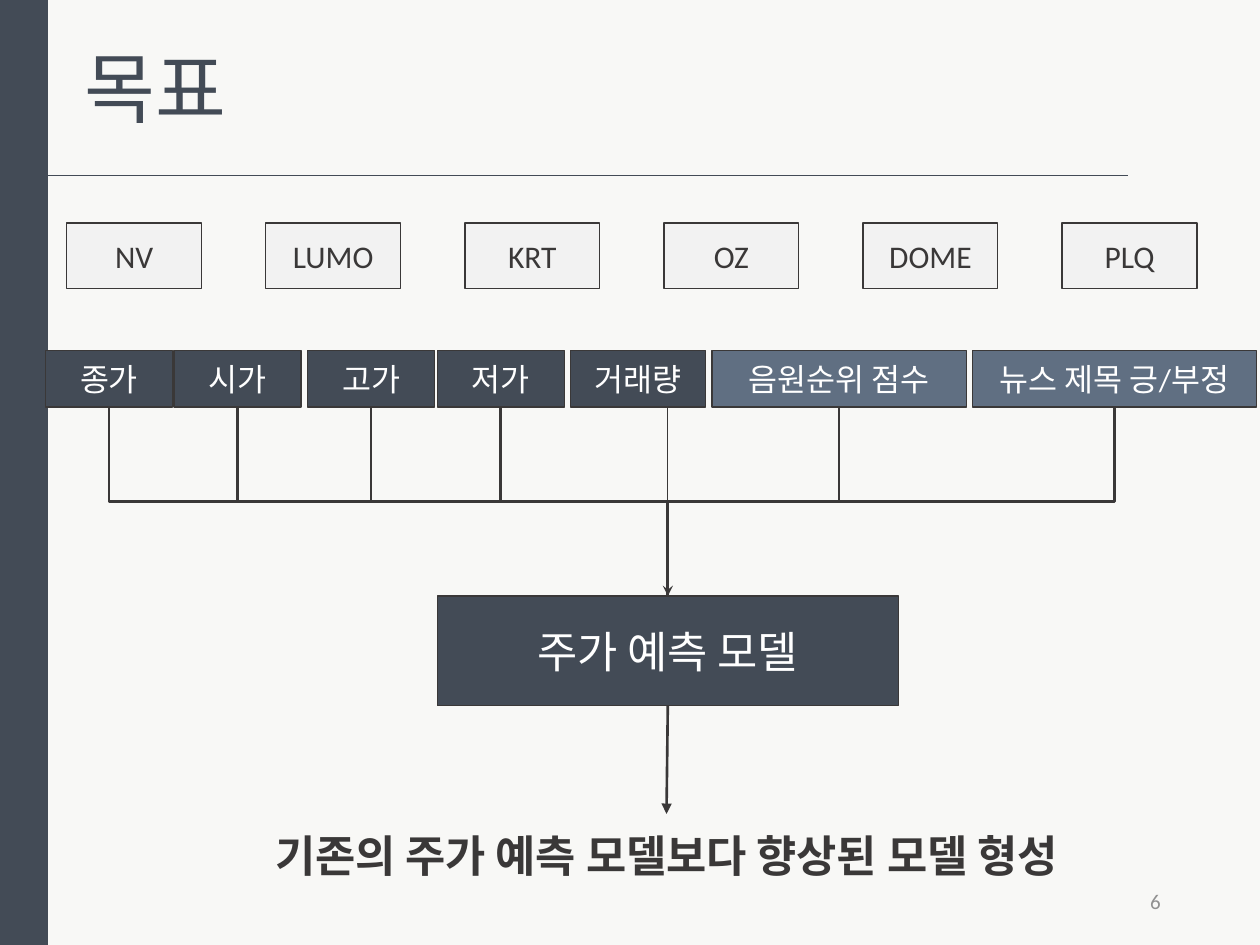
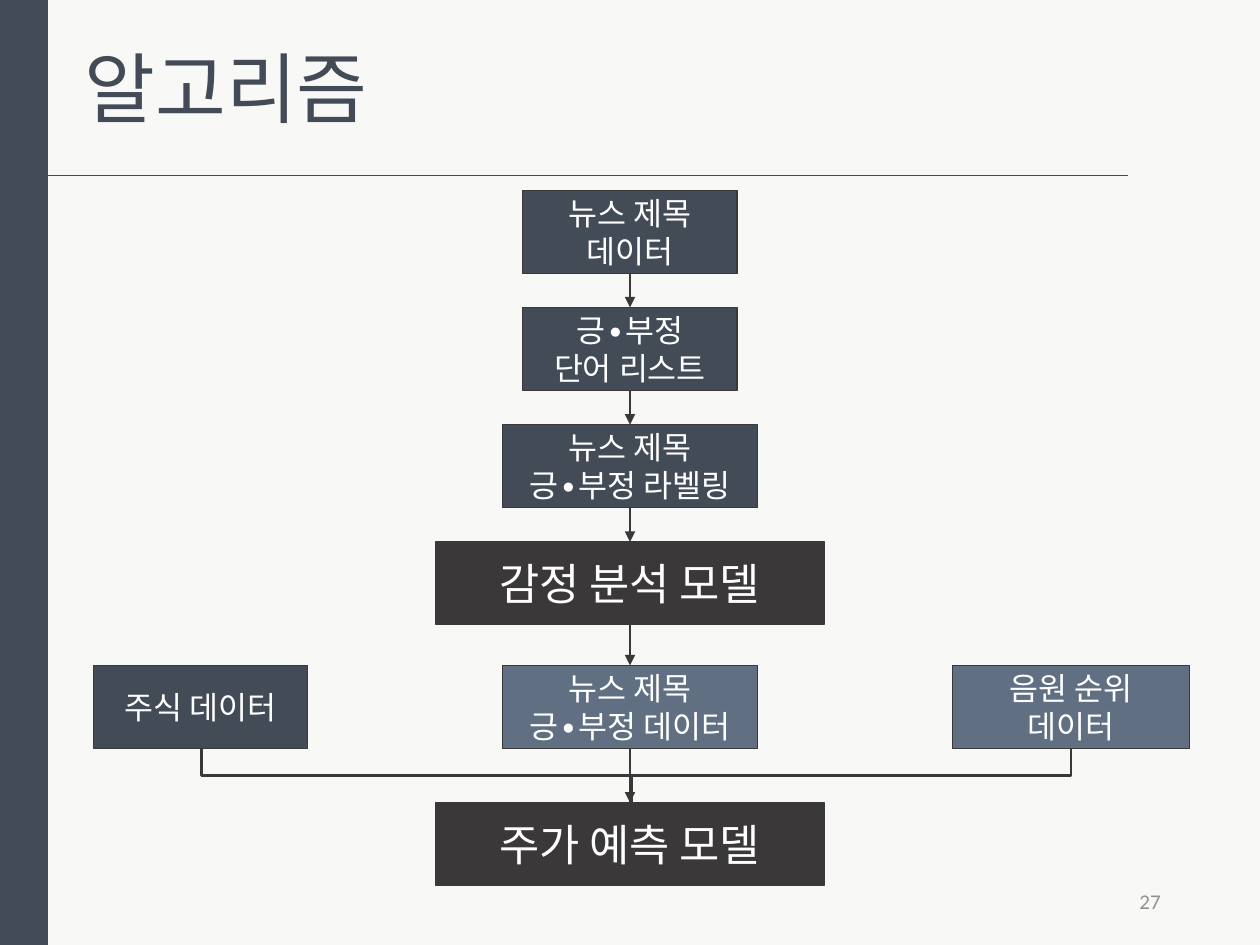
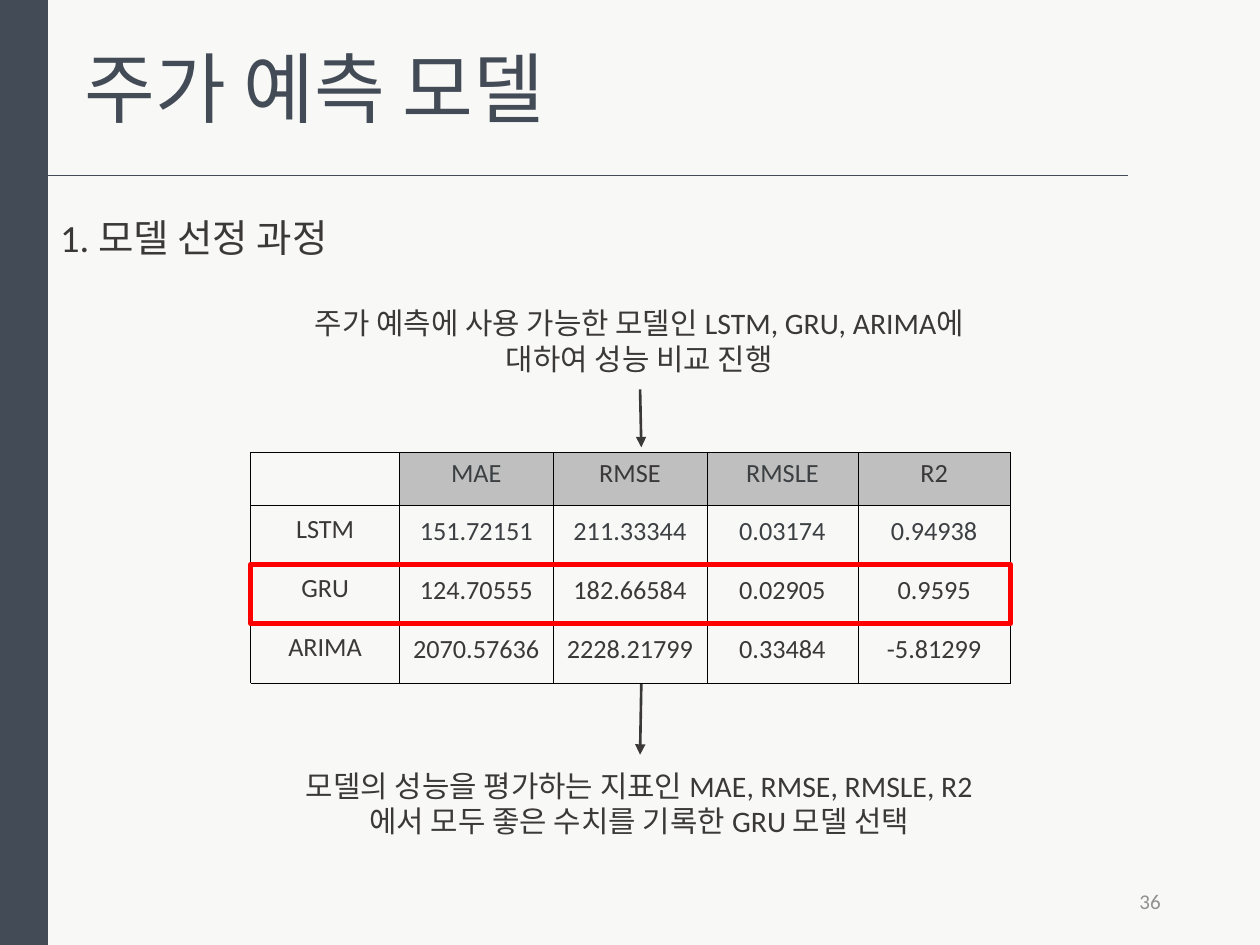
from lxml import etree
from pptx import Presentation
from pptx.dml.color import RGBColor
from pptx.enum.shapes import MSO_CONNECTOR, MSO_SHAPE
from pptx.enum.text import MSO_ANCHOR, MSO_AUTO_SIZE, PP_ALIGN
from pptx.oxml.ns import qn
from pptx.util import Emu, Pt

EMU_PER_PX = 9144  # 100 px to the inch
SLIDE_W, SLIDE_H = 1000, 750
FONT = "Calibri"

PAPER = RGBColor(0xF8, 0xF8, 0xF6)
NAVY = RGBColor(0x43, 0x4B, 0x56)
STEEL = RGBColor(0x60, 0x6F, 0x82)
INK = RGBColor(0x3A, 0x38, 0x38)
SLATE = RGBColor(0x3C, 0x40, 0x43)
MIST = RGBColor(0xF2, 0xF2, 0xF2)
HEADER_GREY = RGBColor(0xBF, 0xBF, 0xBF)
NUMBER_GREY = RGBColor(0x91, 0x91, 0x91)
WHITE = RGBColor(0xFF, 0xFF, 0xFF)
RED = RGBColor(0xFF, 0x00, 0x00)

RECTANGLE = MSO_SHAPE.RECTANGLE
STRAIGHT, ELBOW = MSO_CONNECTOR.STRAIGHT, MSO_CONNECTOR.ELBOW
MIDDLE = MSO_ANCHOR.MIDDLE
LEFT, CENTER, RIGHT = PP_ALIGN.LEFT, PP_ALIGN.CENTER, PP_ALIGN.RIGHT

BAND_W = 38
COMPANIES = ["NV", "LUMO", "KRT", "OZ", "DOME", "PLQ"]
FEATURES = [  # label, left offset, width, colour
    ("종가", 0, 101, NAVY),
    ("시가", 102, 101, NAVY),
    ("고가", 208, 101, NAVY),
    ("저가", 311, 101, NAVY),
    ("거래량", 417, 107, NAVY),
    ("음원순위 점수", 529, 202, STEEL),
    ("뉴스 제목 긍/부정", 736, 225, STEEL),
]
SCORES = [
    ["", "MAE", "RMSE", "RMSLE", "R2"],
    ["LSTM", "151.72151", "211.33344", "0.03174", "0.94938"],
    ["GRU", "124.70555", "182.66584", "0.02905", "0.9595"],
    ["ARIMA", "2070.57636", "2228.21799", "0.33484", "-5.81299"],
]
SLATE_TEXTS = {"MAE", "RMSLE", *SCORES[1][1:]}
SCORE_COLUMNS = [118, 122, 122, 120, 121]
SCORE_ROWS = [42, 47, 47, 47]
CHOSEN_ROW = 2


def px(length):
    return Emu(round(length * EMU_PER_PX))


def write(frame, text, size, color, align=CENTER, bold=None, spacing=None):
    frame.text = text
    for paragraph in frame.paragraphs:
        paragraph.alignment = align
        paragraph.line_spacing = spacing
        for run in paragraph.runs:
            run.font.name = FONT
            run.font.size = Pt(size)
            run.font.bold = bold
            run.font.color.rgb = color


def rectangle(slide, box, fill=None, line=None, weight=0.75):
    shape = slide.shapes.add_shape(RECTANGLE, *map(px, box))
    shape.shadow.inherit = False
    if fill is None:
        shape.fill.background()
    else:
        shape.fill.solid()
        shape.fill.fore_color.rgb = fill
    if line is None:
        shape.line.fill.background()
    else:
        shape.line.color.rgb = line
        shape.line.width = Pt(weight)
    return shape


def pad(frame):
    frame.word_wrap = True
    frame.vertical_anchor = MIDDLE
    frame.margin_left = frame.margin_right = px(10)
    frame.margin_top = frame.margin_bottom = px(10)


def node(slide, box, text, fill, size=18, color=WHITE):
    frame = rectangle(slide, box, fill, INK).text_frame
    pad(frame)
    write(frame, text, size, color)


def label(slide, box, text, size, color=INK, align=CENTER, bold=None):
    frame = slide.shapes.add_textbox(*map(px, box)).text_frame
    pad(frame)
    write(frame, text, size, color, align, bold)
    return frame


def style_connector(connector, color, weight, head):
    connector.line.color.rgb = color
    connector.line.width = Pt(weight)
    properties = connector.element.spPr
    if head:
        etree.SubElement(properties.find(qn("a:ln")), qn("a:tailEnd"), type=head)
    etree.SubElement(properties, qn("a:effectLst"))


def straight(slide, start, end, weight=1.5, head=None, color=INK):
    connector = slide.shapes.add_connector(STRAIGHT, *map(px, (*start, *end)))
    style_connector(connector, color, weight, head)


def arrow(slide, start, end):
    straight(slide, start, end, head="triangle")


def drop_elbow(slide, start, end, head=None, bends=2):
    """Connector that leaves start downwards, then turns sideways to end."""
    (x1, y1), (x2, y2) = start, end
    drop, reach = y2 - y1, abs(x2 - x1)
    left, top = (x1 + x2 - drop) / 2, (y1 + y2 - reach) / 2
    connector = slide.shapes.add_connector(
        ELBOW, px(left), px(top), px(left + drop), px(top + reach))
    frame = connector.element.spPr.find(qn("a:xfrm"))
    if x2 > x1:
        frame.set("rot", "16200000")
        frame.set("flipH", "1")
    else:
        frame.set("rot", "5400000")
    geometry = connector.element.spPr.find(qn("a:prstGeom"))
    geometry.set("prst", f"bentConnector{bends + 1}")
    style_connector(connector, INK, 1.5, head)


def titled_slide(prs, title, title_width, number):
    slide = prs.slides.add_slide(prs.slide_layouts[5])
    rectangle(slide, (0, 0, BAND_W, SLIDE_H), NAVY)
    straight(slide, (BAND_W, 139), (895, 139), 0.5, color=NAVY)

    heading = slide.shapes.title
    heading.left, heading.top = px(57), px(27)
    heading.width, heading.height = px(title_width), px(84)
    frame = heading.text_frame
    write(frame, title, 44, NAVY, LEFT)
    frame.word_wrap = False
    frame.auto_size = MSO_AUTO_SIZE.SHAPE_TO_FIT_TEXT
    frame.vertical_anchor = MSO_ANCHOR.TOP

    label(slide, (706, 695, 225, 40), str(number), 12, NUMBER_GREY, RIGHT)
    return slide


def company_row(slide, left, top):
    for index, company in enumerate(COMPANIES):
        node(slide, (left + 158 * index, top, 107, 52), company, MIST, color=INK)


def feature_flow(slide, left, top):
    """Features, the model they feed and the outcome below it."""
    row_bottom, model_top = top + 45, top + 195
    model_left, model_width, model_height = left + 311, 366, 87
    center = model_left + model_width / 2
    bus = (row_bottom + model_top) / 2

    for name, offset, width, fill in FEATURES:
        node(slide, (left + offset, top, width, 45), name, fill)
    node(slide, (model_left, model_top, model_width, model_height),
         "주가 예측 모델", NAVY, 25)

    stems = [left + offset + width / 2 for _, offset, width, _ in FEATURES]
    model_entry = (center, model_top)
    for index in (0, 1, 2, 3, 5):
        drop_elbow(slide, (stems[index], row_bottom), model_entry,
                   "stealth" if index == 0 else None)
    straight(slide, (center, row_bottom), model_entry, 0.75)
    drop_elbow(slide, (stems[6], row_bottom), (stems[5] - 5, bus), bends=1)

    model_bottom = model_top + model_height
    arrow(slide, (center, model_bottom), (center - 1, model_bottom + 86))
    label(slide, (left + 109, model_bottom + 86, 768, 66),
          "기존의 주가 예측 모델보다 향상된 모델 형성", 25, bold=True)


def algorithm_flow(slide, center, top):
    """Sentiment steps in a column, then three data sets feeding the model."""
    height = 66
    steps = [  # text, top offset, width, colour, text size
        ("뉴스 제목\n데이터", 0, 170, NAVY, 18),
        ("긍∙부정\n단어 리스트", 93, 170, NAVY, 18),
        ("뉴스 제목\n긍∙부정 라벨링", 186, 202, NAVY, 18),
        ("감정 분석 모델", 279, 308, INK, 25),
        ("뉴스 제목\n긍∙부정 데이터", 377, 202, STEEL, 18),
        ("주가 예측 모델", 486, 308, INK, 25),
    ]
    for text, offset, width, fill, size in steps:
        node(slide, (center - width / 2, top + offset, width, height), text, fill, size)
    for (_, upper, *_), (_, lower, *_) in zip(steps[:4], steps[1:5]):
        arrow(slide, (center, top + upper + height), (center, top + lower))

    data_top, model_top = top + steps[4][1], top + steps[5][1]
    node(slide, (center - 426, data_top, 170, height), "주식 데이터", NAVY)
    node(slide, (center + 256, data_top, 188, height), "음원 순위\n데이터", STEEL)
    data_bottom = data_top + height
    straight(slide, (center, data_bottom), (center, model_top))
    drop_elbow(slide, (center + 350, data_bottom), (center, model_top), "triangle")
    drop_elbow(slide, (center - 340, data_bottom), (center + 1, model_top))


def style_cell(cell, text, is_header, is_value):
    cell.vertical_anchor = MIDDLE
    cell.margin_left = cell.margin_right = cell.margin_top = px(1)
    cell.margin_bottom = px(10)
    write(cell.text_frame, text, 15, SLATE if text in SLATE_TEXTS else INK,
          spacing=1.15 if is_value else None)
    properties = cell._tc.get_or_add_tcPr()
    for side in ("a:lnL", "a:lnR", "a:lnT", "a:lnB"):
        border = etree.SubElement(properties, qn(side), w=str(Pt(0.38)))
        paint = etree.SubElement(border, qn("a:solidFill"))
        etree.SubElement(paint, qn("a:srgbClr"), val="000000")
    if is_header and text:
        cell.fill.solid()
        cell.fill.fore_color.rgb = HEADER_GREY
    else:
        cell.fill.background()


def score_table(slide, left, top):
    width, height = sum(SCORE_COLUMNS), sum(SCORE_ROWS)
    table = slide.shapes.add_table(
        len(SCORE_ROWS), len(SCORE_COLUMNS),
        *map(px, (left, top, width, height))).table
    table.first_row = table.horz_banding = False
    for column, column_width in zip(table.columns, SCORE_COLUMNS):
        column.width = px(column_width)
    for row, row_height in zip(table.rows, SCORE_ROWS):
        row.height = px(row_height)
    for r, scores in enumerate(SCORES):
        for c, text in enumerate(scores):
            style_cell(table.cell(r, c), text, r == 0, r > 0 and c > 0)
    chosen_top = top + sum(SCORE_ROWS[:CHOSEN_ROW])
    rectangle(slide, (left, chosen_top, width, SCORE_ROWS[CHOSEN_ROW]),
              line=RED, weight=3)


def model_selection(slide, left, top):
    label(slide, (left, top, 603, 67), "1. 모델 선정 과정", 22, align=LEFT)
    score_table(slide, left + 161, top + 204)
    for offset, text in (
        (77, "주가 예측에 사용 가능한 모델인 LSTM, GRU, ARIMA에 대하여 성능 비교 진행"),
        (444, "모델의 성능을 평가하는 지표인 MAE, RMSE, RMSLE, R2에서 "
              "모두 좋은 수치를 기록한 GRU 모델 선택"),
    ):
        label(slide, (left + 186, top + offset, 567, 77), text, 17)
    arrow(slide, (left + 470, top + 154), (left + 471, top + 200))
    arrow(slide, (left + 471, top + 388), (left + 470, top + 444))


def main():
    prs = Presentation()
    prs.slide_width, prs.slide_height = px(SLIDE_W), px(SLIDE_H)
    background = prs.slide_master.background.fill
    background.solid()
    background.fore_color.rgb = PAPER

    goal = titled_slide(prs, "목표", 144, 6)
    company_row(goal, 53, 177)
    feature_flow(goal, 36, 278)

    algorithm = titled_slide(prs, "알고리즘", 267, 27)
    algorithm_flow(algorithm, SLIDE_W / 2, 151)

    prediction = titled_slide(prs, "주가 예측 모델", 418, 36)
    model_selection(prediction, BAND_W, 155)

    prs.save("out.pptx")


if __name__ == "__main__":
    main()
